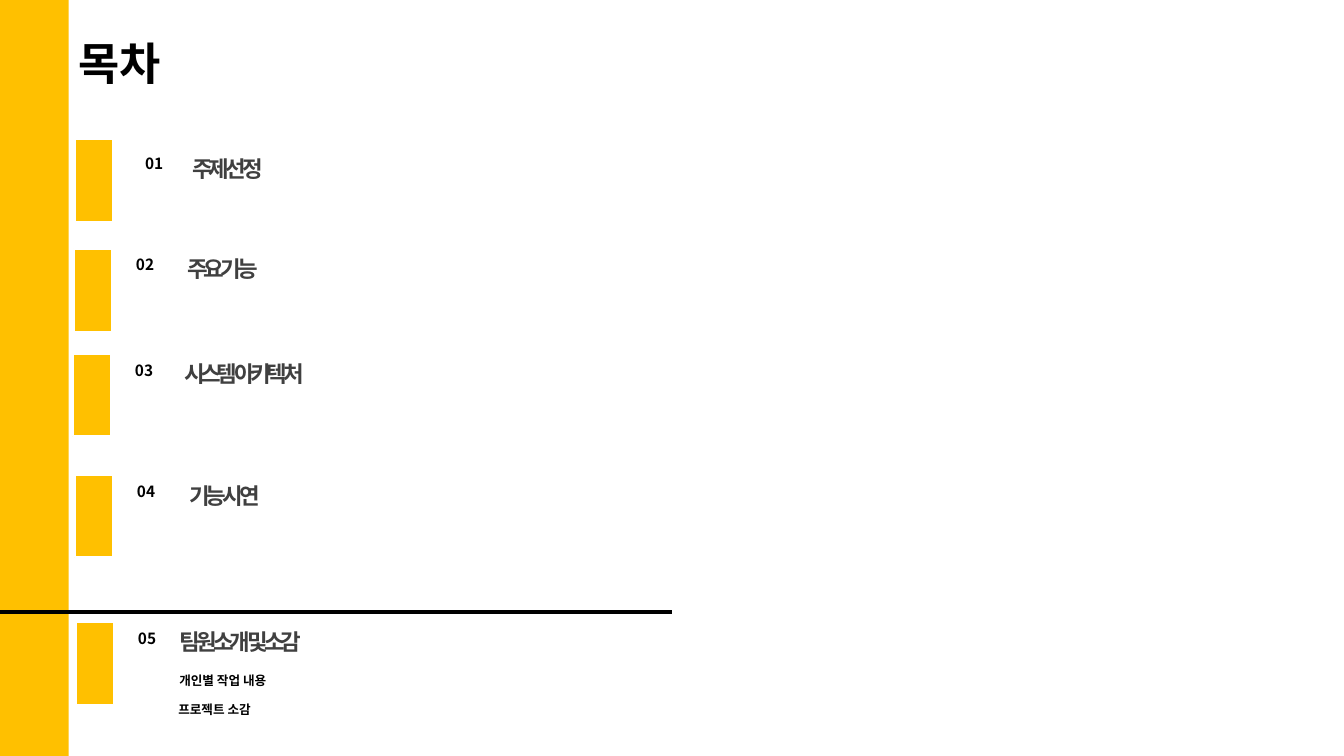
from lxml.etree import SubElement
from pptx import Presentation
from pptx.dml.color import RGBColor
from pptx.enum.shapes import MSO_CONNECTOR, MSO_SHAPE
from pptx.enum.text import MSO_AUTO_SIZE
from pptx.oxml.ns import qn
from pptx.util import Inches, Pt

COLORS = {"accent": "FFC000", "ink": "000000", "heading": "404040", "paper": "FFFFFF"}
KOREAN = "Noto Sans CJK KR"

ENTRIES = [
    ("01", "주제 선정", (0.74, 1.38), (1.34, 1.48), (1.81, 1.49), 2.13),
    ("02", "주요 기능", (0.73, 2.47), (1.25, 2.48), (1.76, 2.48), 1),
    ("03", "시스템 아키텍처", (0.72, 3.51), (1.24, 3.53), (1.73, 3.52), 1.52),
    ("04", "기능 시연", (0.74, 4.71), (1.26, 4.73), (1.78, 4.73), 0.97),
    ("05", "팀 원 소개 및 소감", (0.75, 6.17), (1.27, 6.19), (1.68, 6.18), 1.74),
]
DETAILS = [
    ("개인별 작업 내용", (1.68, 6.63), 1.17),
    ("프로젝트 소감", (1.67, 6.91), 1),
]


class Page:
    def __init__(self, deck):
        self.slide = deck.slides.add_slide(deck.slide_layouts[6])
        self.slide.background.fill.solid()
        self.slide.background.fill.fore_color.rgb = self.color("paper")

    def color(self, name):
        return RGBColor.from_string(COLORS[name])

    def group(self):
        return self.slide.shapes.add_group_shape().shapes

    def block(self, place, size, outline=None, shapes=None):
        shapes = shapes or self.slide.shapes
        block = shapes.add_shape(MSO_SHAPE.RECTANGLE, *map(Inches, place + size))
        block.shadow.inherit = False
        block.fill.solid()
        block.fill.fore_color.rgb = self.color("accent")
        if outline:
            block.line.color.rgb = self.color(outline)
            block.line.width = Pt(1.5)
        else:
            block.line.fill.background()

    def rule(self, start, end):
        rule = self.slide.shapes.add_connector(
            MSO_CONNECTOR.STRAIGHT, *map(Inches, start + end))
        rule.line.color.rgb = self.color("ink")
        rule.line.width = Pt(3)
        SubElement(rule._element.spPr, qn("a:effectLst"))

    def text(self, words, place, size, points, color="ink", font=KOREAN,
             spacing=None, wrap=False, shapes=None):
        shapes = shapes or self.slide.shapes
        box = shapes.add_textbox(*map(Inches, place + size))
        box.text_frame.word_wrap = wrap
        box.text_frame.auto_size = MSO_AUTO_SIZE.SHAPE_TO_FIT_TEXT
        para = box.text_frame.paragraphs[0]
        para.text = words
        para.font.name = font
        para.font.size = Pt(points)
        para.font.bold = True
        para.font.color.rgb = self.color(color)
        properties = para._p.pPr.find(qn("a:defRPr"))
        SubElement(properties, qn("a:ea")).set("typeface", KOREAN)
        if spacing:
            properties.set("spc", str(spacing * 100))

    def entry(self, number, heading, marker, number_place, heading_place, width):
        shapes = self.group()
        self.block(marker, (0.38, 0.82), "paper", shapes)
        self.text(number, number_place, (0.41, 0.29), 11, shapes=shapes)
        self.text(heading, heading_place, (width, 0.37), 16, "heading", "Arial",
                  spacing=-3, shapes=shapes)


def main():
    deck = Presentation()
    deck.slide_width, deck.slide_height = Inches(13.33), Inches(7.5)
    page = Page(deck)
    page.block((0, 0), (0.68, 7.5))
    page.text("목차", (0.68, 0.31), (4.69, 0.64), 32, wrap=True)
    page.rule((0, 6.07), (6.67, 6.07))
    for entry in ENTRIES:
        page.entry(*entry)
    for words, place, width in DETAILS:
        page.text(words, place, (width, 0.25), 9)
    deck.save("out.pptx")


if __name__ == "__main__":
    main()
